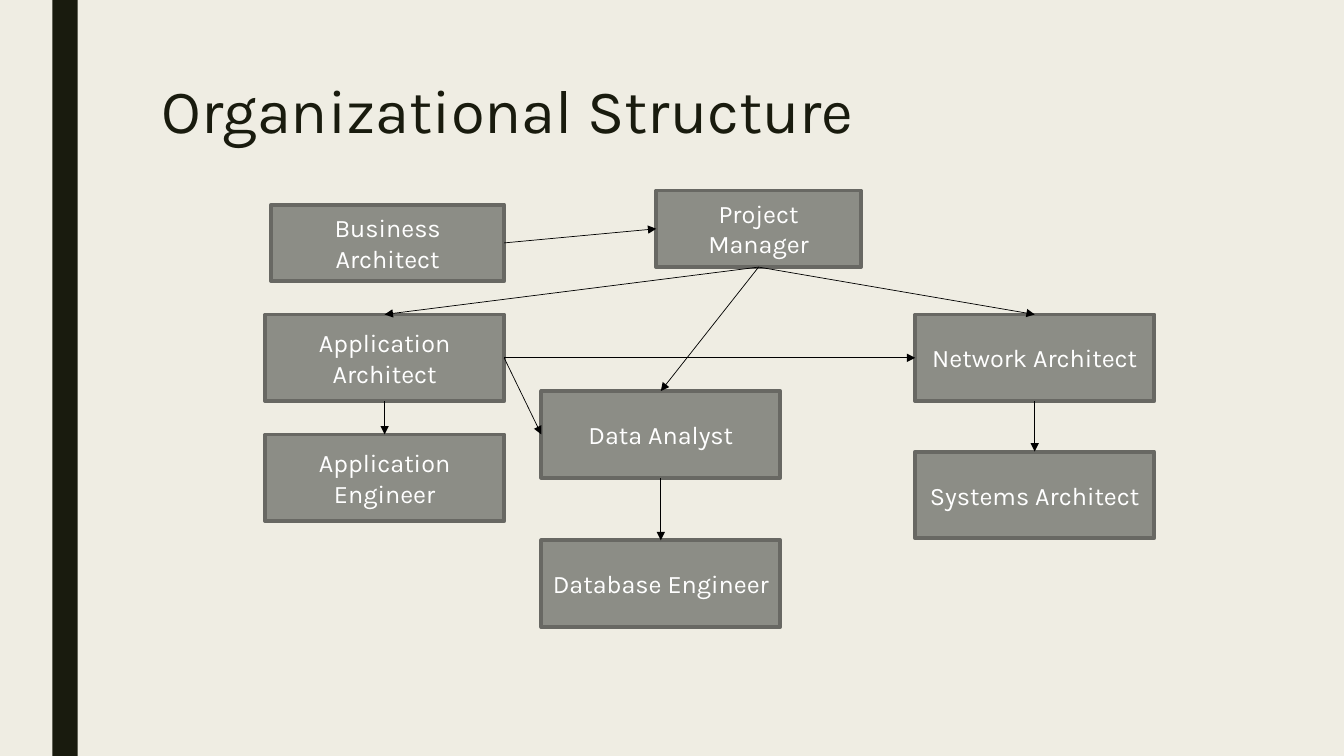
import dataclasses
import enum

import pptx
import pptx.dml.color
import pptx.enum.shapes
import pptx.enum.text
import pptx.oxml
import pptx.oxml.ns
import pptx.util

WIDTH = pptx.util.Inches(13.333)
HEIGHT = pptx.util.Inches(7.5)


@dataclasses.dataclass(frozen=True)
class Theme:
    background: str = "EFEDE3"
    ink: str = "191B0E"
    box_fill: str = "8C8D86"
    box_line: str = "686863"
    box_text: str = "FFFFFF"
    arrow: str = "000000"
    font: str = "Karla"
    title_size: float = 44
    box_size: float = 18
    box_line_width: float = 2.75
    arrow_width: float = 0.5


@dataclasses.dataclass(frozen=True)
class Area:
    """Left, top, width and height in percent of the slide."""
    left: float
    top: float
    width: float
    height: float


@dataclasses.dataclass(frozen=True)
class Role:
    name: str
    area: Area


class Side(enum.IntEnum):
    TOP = 0
    LEFT = 1
    BOTTOM = 2
    RIGHT = 3


@dataclasses.dataclass(frozen=True)
class Link:
    source: str
    source_side: Side
    target: str
    target_side: Side


THEME = Theme()
TITLE_AREA = Area(11.25, 10, 79.35, 10.13)
BAR_AREA = Area(3.9, 0, 1.88, 100)
LEFT_COL, MIDDLE_COL, RIGHT_COL = 19.73, 40.28, 68.1


def column_area(column: float, top: float) -> Area:
    return Area(column, top, 17.78, 11.47)


ROLES = [
    Role("Business Architect", Area(20.18, 27.07, 17.33, 10.13)),
    Role("Project Manager", Area(48.83, 25.2, 15.23, 10.13)),
    Role("Application Architect", column_area(LEFT_COL, 41.6)),
    Role("Application Engineer", column_area(LEFT_COL, 57.47)),
    Role("Systems Architect", column_area(RIGHT_COL, 59.73)),
    Role("Database Engineer", column_area(MIDDLE_COL, 71.47)),
    Role("Network Architect", column_area(RIGHT_COL, 41.6)),
    Role("Data Analyst", column_area(MIDDLE_COL, 51.73)),
]

LINKS = [
    Link("Business Architect", Side.RIGHT, "Project Manager", Side.LEFT),
    Link("Project Manager", Side.BOTTOM, "Application Architect", Side.TOP),
    Link("Project Manager", Side.BOTTOM, "Network Architect", Side.TOP),
    Link("Application Architect", Side.BOTTOM, "Application Engineer", Side.TOP),
    Link("Data Analyst", Side.BOTTOM, "Database Engineer", Side.TOP),
    Link("Application Architect", Side.RIGHT, "Data Analyst", Side.LEFT),
    Link("Application Architect", Side.RIGHT, "Network Architect", Side.LEFT),
    Link("Network Architect", Side.BOTTOM, "Systems Architect", Side.TOP),
    Link("Project Manager", Side.BOTTOM, "Data Analyst", Side.TOP),
]


def rgb(value: str) -> pptx.dml.color.RGBColor:
    return pptx.dml.color.RGBColor.from_string(value)


def emu(area: Area) -> tuple[int, int, int, int]:
    return (
        round(WIDTH * area.left / 100),
        round(HEIGHT * area.top / 100),
        round(WIDTH * area.width / 100),
        round(HEIGHT * area.height / 100),
    )


def write(sp, text: str, size: float, color: str, align):
    tf = sp.text_frame
    tf.text = text
    tf.word_wrap = True
    tf.vertical_anchor = pptx.enum.text.MSO_ANCHOR.MIDDLE
    p = tf.paragraphs[0]
    p.alignment = align
    p.font.name = THEME.font
    p.font.size = pptx.util.Pt(size)
    p.font.color.rgb = rgb(color)
    return p


def add_rectangle(slide, area: Area, fill: str):
    sp = slide.shapes.add_shape(pptx.enum.shapes.MSO_SHAPE.RECTANGLE, *emu(area))
    sp.shadow.inherit = False
    sp.fill.solid()
    sp.fill.fore_color.rgb = rgb(fill)
    return sp


def add_bar(slide) -> None:
    add_rectangle(slide, BAR_AREA, THEME.ink).line.fill.background()


def format_title(slide, text: str) -> None:
    sp = slide.shapes.title
    sp.left, sp.top, sp.width, sp.height = emu(TITLE_AREA)
    p = write(sp, text, THEME.title_size, THEME.ink, pptx.enum.text.PP_ALIGN.LEFT)
    p.line_spacing = 0.89
    sp.text_frame.auto_size = pptx.enum.text.MSO_AUTO_SIZE.NONE


def add_role(slide, role: Role):
    sp = add_rectangle(slide, role.area, THEME.box_fill)
    sp.line.color.rgb = rgb(THEME.box_line)
    sp.line.width = pptx.util.Pt(THEME.box_line_width)
    write(sp, role.name, THEME.box_size, THEME.box_text, pptx.enum.text.PP_ALIGN.CENTER)
    return sp


def add_link(slide, link: Link, boxes: dict) -> None:
    cxn = slide.shapes.add_connector(pptx.enum.shapes.MSO_CONNECTOR.STRAIGHT, 0, 0, 0, 0)
    cxn.begin_connect(boxes[link.source], int(link.source_side))
    cxn.end_connect(boxes[link.target], int(link.target_side))
    cxn.line.color.rgb = rgb(THEME.arrow)
    cxn.line.width = pptx.util.Pt(THEME.arrow_width)
    sp_pr = cxn._element.spPr
    ns = pptx.oxml.ns.nsdecls("a")
    sp_pr.find(pptx.oxml.ns.qn("a:ln")).append(
        pptx.oxml.parse_xml(f'<a:tailEnd {ns} type="triangle"/>')
    )
    sp_pr.append(pptx.oxml.parse_xml(f"<a:effectLst {ns}/>"))


def main() -> None:
    prs = pptx.Presentation()
    prs.slide_width, prs.slide_height = WIDTH, HEIGHT
    slide = prs.slides.add_slide(prs.slide_layouts.get_by_name("Title Only"))
    slide.background.fill.solid()
    slide.background.fill.fore_color.rgb = rgb(THEME.background)
    add_bar(slide)
    format_title(slide, "Organizational Structure")
    boxes = {role.name: add_role(slide, role) for role in ROLES}
    for link in LINKS:
        add_link(slide, link, boxes)
    prs.save("out.pptx")


if __name__ == "__main__":
    main()
